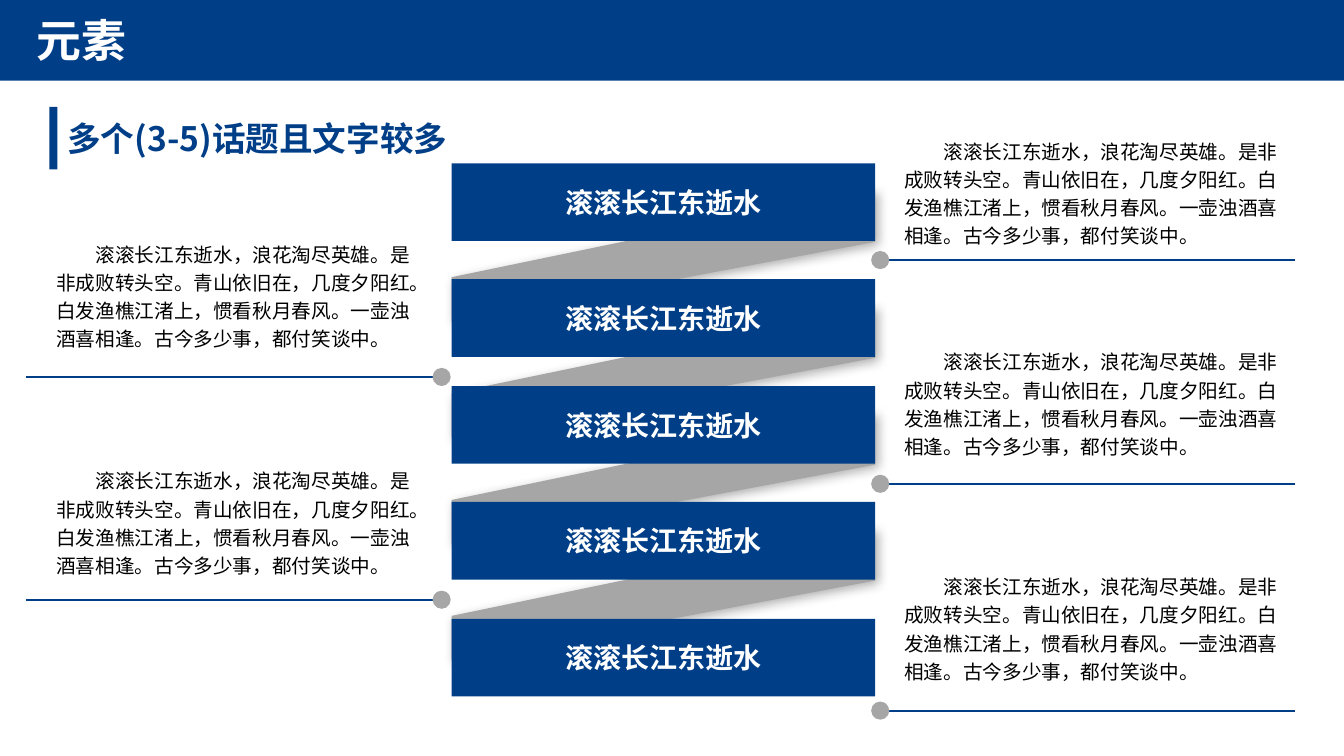
from lxml import etree
from pptx import Presentation
from pptx.dml.color import RGBColor
from pptx.enum.shapes import MSO_CONNECTOR, MSO_SHAPE
from pptx.enum.text import MSO_ANCHOR, MSO_AUTO_SIZE, PP_ALIGN
from pptx.oxml.ns import qn
from pptx.util import Inches, Pt

RECTANGLE, OVAL = MSO_SHAPE.RECTANGLE, MSO_SHAPE.OVAL
STRAIGHT = MSO_CONNECTOR.STRAIGHT
TOP, MIDDLE = MSO_ANCHOR.TOP, MSO_ANCHOR.MIDDLE
LEFT, CENTER = PP_ALIGN.LEFT, PP_ALIGN.CENTER
GROW, FIXED = MSO_AUTO_SIZE.SHAPE_TO_FIT_TEXT, MSO_AUTO_SIZE.NONE

BLUE = RGBColor(0x00, 0x3F, 0x88)
GREY = RGBColor(0xA6, 0xA6, 0xA6)
WHITE = RGBColor(0xFF, 0xFF, 0xFF)
BLACK = RGBColor(0x00, 0x00, 0x00)
FONT = "Noto Sans CJK SC"

TOPIC = "滚滚长江东逝水"
BODY = (
    "滚滚长江东逝水，浪花淘尽英雄。是非成败转头空。青山依旧在，几度夕阳红。"
    "白发渔樵江渚上，惯看秋月春风。一壶浊酒喜相逢。古今多少事，都付笑谈中。"
)
BAR_TOPS = (1.62, 2.77, 3.83, 4.98, 6.14)
BAR_LEFT, BAR_WIDTH, BAR_HEIGHT = 4.48, 4.2, 0.77
DOT_SIZE = 0.18
RIGHT_CALLOUTS = ((1.29, 2.58), (3.38, 4.8), (5.61, 7.05))
LEFT_CALLOUTS = ((2.31, 3.74), (4.56, 5.95))


def write_text(shape, text, size, color, bold=False, align=LEFT, anchor=TOP,
               wrap=True, fit=GROW, indent=0, spacing=1.0):
    """Put one formatted paragraph into a shape."""
    frame = shape.text_frame
    frame.word_wrap = wrap
    frame.auto_size = fit
    frame.vertical_anchor = anchor
    paragraph = frame.paragraphs[0]
    paragraph.alignment = align
    paragraph.line_spacing = spacing
    if indent:
        properties = paragraph._p.get_or_add_pPr()
        properties.set("marL", "0")
        properties.set("indent", str(Inches(indent)))
    run = paragraph.add_run()
    run.text = text
    run.font.size = Pt(size)
    run.font.bold = bold
    run.font.color.rgb = color
    run.font.name = FONT
    east_asian = etree.SubElement(run._r.get_or_add_rPr(), qn("a:ea"))
    east_asian.set("typeface", FONT)


def paint(shape, color):
    """Give a shape a flat fill without outline or shadow."""
    shape.fill.solid()
    shape.fill.fore_color.rgb = color
    shape.line.fill.background()
    shape.shadow.inherit = False


def add_block(slide, kind, left, top, width, height, color):
    """Add a flat preset shape and return it."""
    shape = slide.shapes.add_shape(
        kind, Inches(left), Inches(top), Inches(width), Inches(height))
    paint(shape, color)
    return shape


def add_text(slide, text, left, top, width, height, **text_format):
    """Add a text box with formatted text."""
    box = slide.shapes.add_textbox(
        Inches(left), Inches(top), Inches(width), Inches(height))
    write_text(box, text, **text_format)


def add_header(slide, width, height):
    """Draw the top band and set the title on it."""
    band = add_block(slide, RECTANGLE, 0, 0, width, height, BLUE)
    title = slide.shapes.title
    title.left, title.top = Inches(0.26), Inches(0.08)
    title.width, title.height = Inches(5.75), Inches(height - 0.16)
    write_text(title, "元素", size=32, color=WHITE, bold=True)
    band.element.addnext(title.element)


def add_subtitle(slide, left, top, width, height):
    """Draw the accent mark and the heading beside it."""
    mark = 0.08
    add_block(slide, RECTANGLE, left, top, mark, height, BLUE)
    add_text(slide, "多个(3-5)话题且文字较多", left + mark, top + 0.06,
             width - mark, height - 0.12, size=24, color=BLUE, bold=True)


def add_ribbon(slide, left, top, width):
    """Draw the shadowed fold that leads to the next bar."""
    right = left + width
    corners = [(right, top), (left, top + 0.87),
               (left, top + 1.31), (right, top + 0.52)]
    points = [(Inches(x), Inches(y)) for x, y in corners]
    builder = slide.shapes.build_freeform(*points[0])
    builder.add_line_segments(points[1:], close=True)
    ribbon = builder.convert_to_shape()
    paint(ribbon, GREY)
    effects = ribbon.element.spPr.find(qn("a:effectLst"))
    shadow = etree.SubElement(
        effects, qn("a:outerShdw"), blurRad=str(Pt(8)), dist=str(Pt(3)),
        dir="2700000", algn="tl", rotWithShape="0")
    color = etree.SubElement(shadow, qn("a:srgbClr"), val=str(BLACK))
    etree.SubElement(color, qn("a:alpha"), val="31000")


def add_bars(slide, left, width, height):
    """Stack the topic bars, joined by folded ribbons."""
    for top in BAR_TOPS:
        if top != BAR_TOPS[-1]:
            add_ribbon(slide, left, top + 0.26, width)
        bar = add_block(slide, RECTANGLE, left, top, width, height, BLUE)
        write_text(bar, TOPIC, size=20, color=WHITE, bold=True, align=CENTER,
                   anchor=MIDDLE, wrap=False, fit=FIXED)


def add_callout(slide, left, top, width, rule_top, dot_center, rule_end):
    """Place a body text above a rule that starts at a dot."""
    add_text(slide, BODY, left, top, width, 1.21, size=14, color=BLACK,
             indent=0.39, spacing=1.2)
    start, end = sorted((dot_center, rule_end))
    rule = slide.shapes.add_connector(
        STRAIGHT, Inches(start), Inches(rule_top), Inches(end), Inches(rule_top))
    rule.line.color.rgb = BLUE
    rule.line.width = Pt(1.5)
    etree.SubElement(rule.element.spPr, qn("a:effectLst"))
    add_block(slide, OVAL, dot_center - DOT_SIZE / 2, rule_top - DOT_SIZE / 2,
              DOT_SIZE, DOT_SIZE, GREY)


def build_slide(presentation):
    """Compose the slide from its regions."""
    slide = presentation.slides.add_slide(presentation.slide_layouts[5])
    add_header(slide, 13.33, 0.8)
    add_subtitle(slide, 0.49, 1.06, 5.21, 0.62)
    add_bars(slide, BAR_LEFT, BAR_WIDTH, BAR_HEIGHT)
    for top, rule_top in RIGHT_CALLOUTS:
        add_callout(slide, 8.87, top, 3.97, rule_top, 8.73, 12.84)
    for top, rule_top in LEFT_CALLOUTS:
        add_callout(slide, 0.46, top, 3.83, rule_top, 4.38, 0.26)


def main():
    """Create and save the presentation."""
    presentation = Presentation()
    presentation.slide_width = Inches(13.33)
    presentation.slide_height = Inches(7.5)
    build_slide(presentation)
    presentation.save("out.pptx")


if __name__ == "__main__":
    main()
